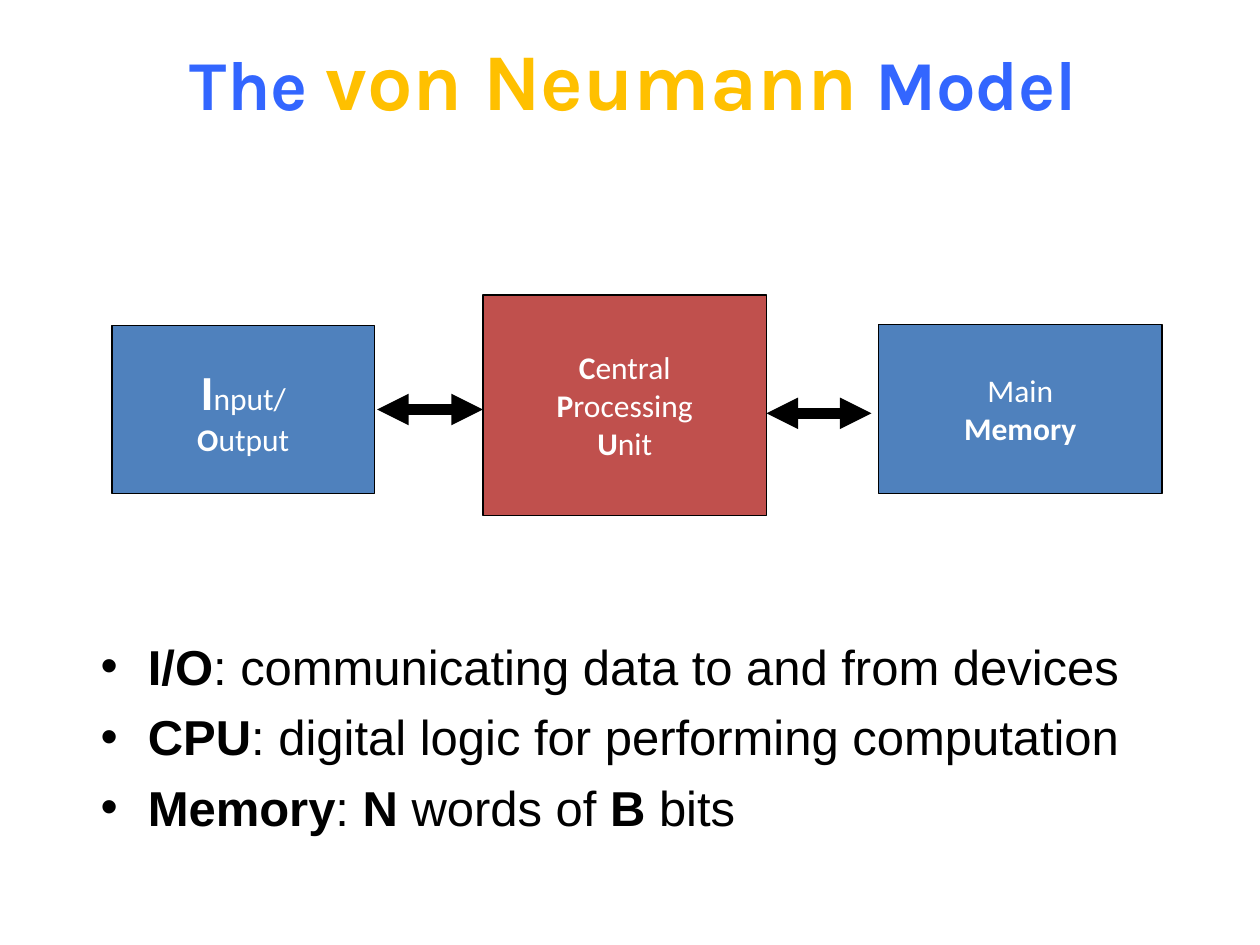
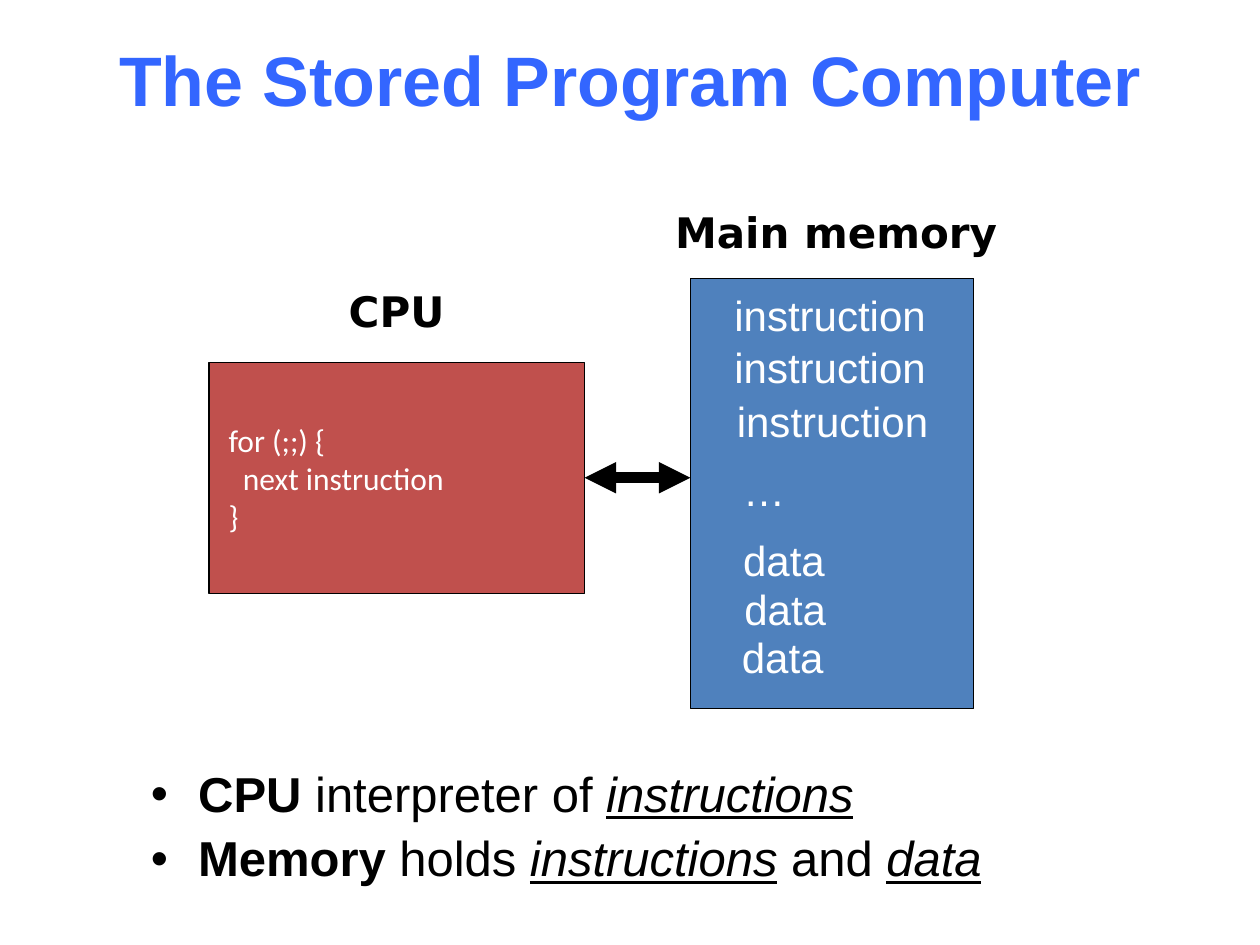
from pptx import Presentation
from pptx.dml.color import RGBColor
from pptx.enum.shapes import MSO_CONNECTOR, MSO_SHAPE
from pptx.enum.text import MSO_ANCHOR, MSO_AUTO_SIZE, PP_ALIGN
from pptx.oxml.ns import qn
from pptx.util import Pt
from lxml.etree import SubElement

HUES = {
    "title": "3366FF", "gold": "FFC000", "ink": "000000",
    "paper": "FFFFFF", "cpu": "C0504D", "store": "4F81BD",
}


def hue(name):
    return RGBColor.from_string(HUES[name])


class Deck:
    """Holds the shared style and the current slide."""

    def __init__(self):
        self.prs = Presentation()
        self.prs.slide_width, self.prs.slide_height = Pt(720), Pt(540)
        self.slide = None

    def words(self, frame, paras, font, size, color, align=PP_ALIGN.LEFT):
        """Fill a frame; a run is (text, flags, size, color), flags from b, i, u."""
        for n, runs in enumerate(paras):
            para = frame.paragraphs[0] if n == 0 else frame.add_paragraph()
            para.alignment = align
            for text, flags, *own in runs:
                run = para.add_run()
                run.text = text
                face = run.font
                face.name = font
                face.size = Pt(own[0] if own else size)
                face.color.rgb = hue(own[1] if len(own) > 1 else color)
                face.bold = "b" in flags
                face.italic = "i" in flags
                face.underline = "u" in flags

    def indent(self, para, left, hang=0):
        props = para._p.get_or_add_pPr()
        props.set("marL", str(Pt(left)))
        props.set("indent", str(Pt(-hang)))
        return props

    def title(self, runs, font, left, width):
        self.slide = self.prs.slides.add_slide(self.prs.slide_layouts[5])
        head = self.slide.shapes.title
        head.left, head.top, head.width, head.height = Pt(left), Pt(0), Pt(width), Pt(90)
        frame = head.text_frame
        frame.auto_size = MSO_AUTO_SIZE.NONE
        frame.vertical_anchor = MSO_ANCHOR.MIDDLE
        self.words(frame, [runs], font, 40, "title", PP_ALIGN.CENTER)

    def area(self, left, top, width, height, wrap=True):
        box = self.slide.shapes.add_textbox(Pt(left), Pt(top), Pt(width), Pt(height))
        box.text_frame.word_wrap = wrap
        return box.text_frame

    def points(self, left, top, width, height, paras, pitch=1.0):
        frame = self.area(left, top, width, height)
        self.words(frame, paras, "Arial", 28, "ink")
        for para in frame.paragraphs:
            para.line_spacing = pitch
            para.space_before = Pt(6.8)
            props = self.indent(para, 27, 27)
            SubElement(props, qn("a:buFont")).set("typeface", "Arial")
            SubElement(props, qn("a:buChar")).set("char", "•")

    def label(self, left, top, width, text, font="Arial", color="paper", flags=""):
        frame = self.area(left, top, width, 36, wrap=False)
        frame.auto_size = MSO_AUTO_SIZE.SHAPE_TO_FIT_TEXT
        self.words(frame, [[(text, flags)]], font, 24, color)

    def block(self, left, top, width, height, fill, paras=(), align=PP_ALIGN.CENTER):
        box = self.slide.shapes.add_shape(
            MSO_SHAPE.RECTANGLE, Pt(left), Pt(top), Pt(width), Pt(height))
        box.shadow.inherit = False
        box.fill.solid()
        box.fill.fore_color.rgb = hue(fill)
        box.line.color.rgb = hue("ink")
        box.line.width = Pt(0.75)
        frame = box.text_frame
        frame.vertical_anchor = MSO_ANCHOR.MIDDLE
        self.words(frame, paras, "Calibri", 18, "paper", align)
        return frame

    def arrow(self, start, end, level):
        link = self.slide.shapes.add_connector(
            MSO_CONNECTOR.STRAIGHT, Pt(start), Pt(level), Pt(end), Pt(level))
        link.line.color.rgb = hue("ink")
        link.line.width = Pt(6)
        props = link._element.spPr
        line = props.find(qn("a:ln"))
        for tip in ("a:headEnd", "a:tailEnd"):
            SubElement(line, qn(tip)).set("type", "triangle")
        SubElement(props, qn("a:effectLst"))


def model(deck):
    deck.title([("The ", "b"), ("von Neumann", "b", 46, "gold"), (" Model", "b")],
               "Karla", 56, 612)
    deck.points(50.4, 360, 624, 150, [
        [("I/O", "b"), (": communicating data to and from devices", "")],
        [("CPU", "b"), (": digital logic for performing computation", "")],
        [("Memory", "b"), (": ", ""), ("N", "b"), (" words of ", ""),
         ("B", "b"), (" bits", "")],
    ])

    # Three units
    deck.block(276, 168.5, 162, 126, "cpu", [
        [("C", "b"), ("entral", "")],
        [("P", "b"), ("rocessing", "")],
        [("U", "b"), ("nit", "")],
    ])
    deck.block(64, 186, 150, 96, "store", [
        [("I", "b", 28), ("nput/", "")],
        [("O", "b"), ("utput", "")],
    ])
    deck.block(502, 185.5, 162, 96.5, "store", [[("Main", "")], [("Memory", "b")]])

    # Links between units
    deck.arrow(438, 498, 236.2)
    deck.arrow(215.5, 276, 234)


def program(deck):
    deck.title([("The Stored Program Computer", "b")], "Arial", 0, 720)
    deck.points(79.2, 436.3, 612, 84, [
        [("CPU", "b"), (" interpreter of ", ""), ("instructions", "iu")],
        [("Memory", "b"), (" holds ", ""), ("instructions", "iu"),
         (" and ", ""), ("data", "iu")],
    ], pitch=0.9)

    # Processor and its loop
    loop = deck.block(119.5, 207.2, 214.6, 132, "cpu", [
        [("for (;;) {", "")], [("next instruction", "")], [("}", "")],
    ], PP_ALIGN.LEFT)
    for para, left in zip(loop.paragraphs, (4, 12.2, 4)):
        deck.indent(para, left)

    # Memory and its contents
    deck.block(394.5, 159, 162, 246, "store")
    deck.arrow(334.1, 394.5, 273)
    for left, top in ((412.6, 162), (412.6, 191.5), (414, 222.5)):
        deck.label(left, top, 124, "instruction")
    deck.label(417.6, 262, 39, "…")
    for left, top in ((417.6, 301.7), (418.3, 329.8), (416.9, 357.1)):
        deck.label(left, top, 61, "data")

    # Headings over the boxes
    for left, top, width, text in ((192.2, 159.8, 70, "CPU"),
                                   (378.7, 114.5, 199.4, "Main memory")):
        deck.label(left, top, width, text, "DejaVu Sans", "ink", "b")


def main():
    deck = Deck()
    model(deck)
    program(deck)
    deck.prs.save("out.pptx")


if __name__ == "__main__":
    main()
